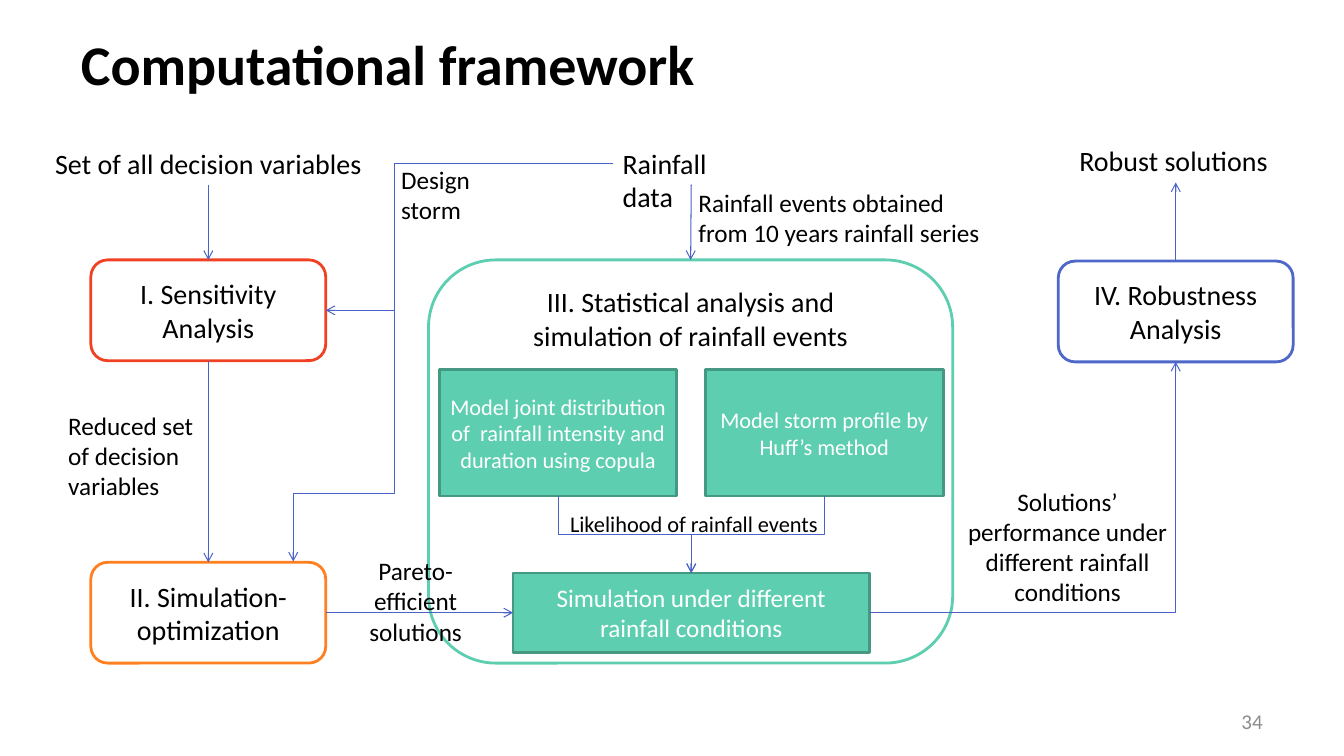
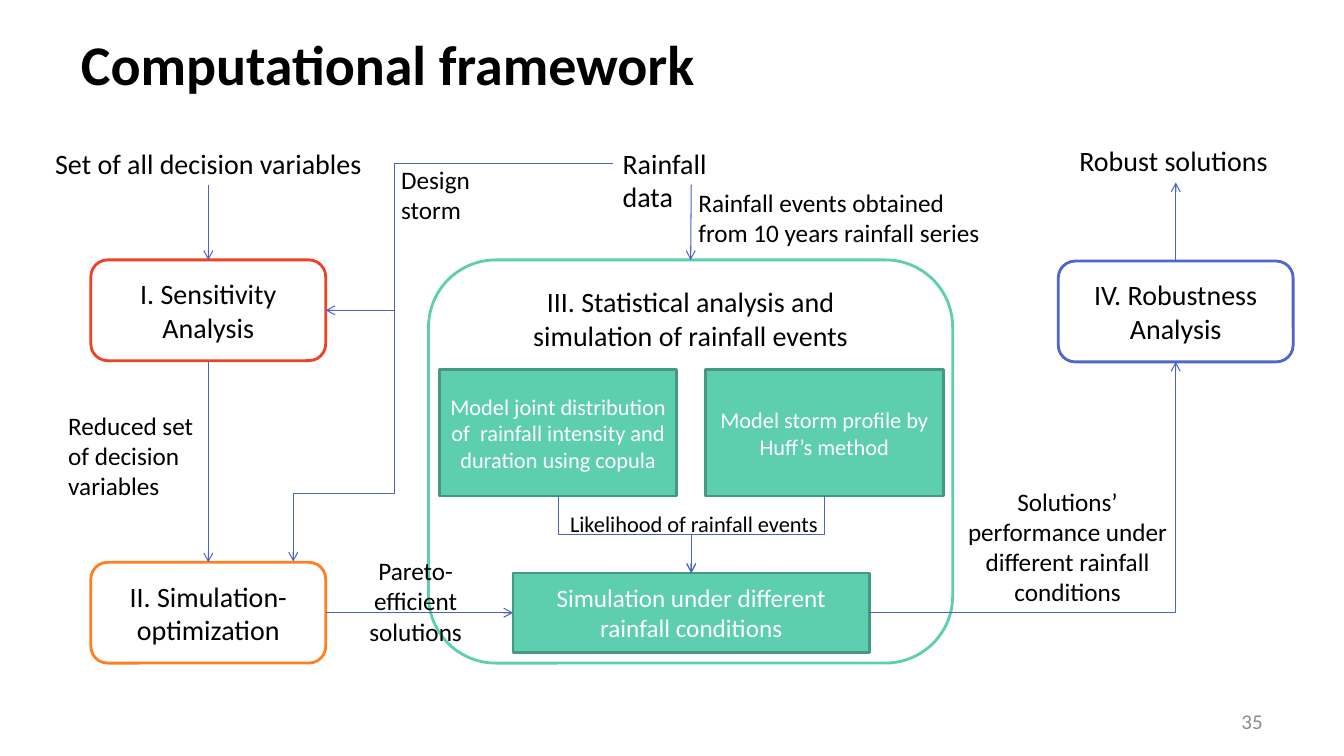
from dataclasses import dataclass
from typing import NamedTuple, Optional, Union

from lxml import etree
from pptx import Presentation
from pptx.dml.color import RGBColor
from pptx.enum.shapes import MSO_CONNECTOR, MSO_SHAPE
from pptx.enum.text import MSO_ANCHOR, MSO_AUTO_SIZE, PP_ALIGN
from pptx.oxml.ns import qn
from pptx.util import Cm, Pt

RECT, ROUNDED = MSO_SHAPE.RECTANGLE, MSO_SHAPE.ROUNDED_RECTANGLE
STRAIGHT, ELBOW = MSO_CONNECTOR.STRAIGHT, MSO_CONNECTOR.ELBOW
LEFT, CENTER, RIGHT = PP_ALIGN.LEFT, PP_ALIGN.CENTER, PP_ALIGN.RIGHT
TOP, MIDDLE = MSO_ANCHOR.TOP, MSO_ANCHOR.MIDDLE
FIT_SHAPE = MSO_AUTO_SIZE.SHAPE_TO_FIT_TEXT
TOP_SIDE, LEFT_SIDE, BOTTOM_SIDE, RIGHT_SIDE = range(4)
QUARTER_TURN = "5400000"


@dataclass(frozen=True)
class Theme:
    font: str = "Calibri"
    black: RGBColor = RGBColor(0x00, 0x00, 0x00)
    white: RGBColor = RGBColor(0xFF, 0xFF, 0xFF)
    gray: RGBColor = RGBColor(0x8C, 0x8C, 0x8C)
    red: RGBColor = RGBColor(0xF1, 0x41, 0x24)
    orange: RGBColor = RGBColor(0xFF, 0x80, 0x21)
    blue: RGBColor = RGBColor(0x4E, 0x67, 0xC8)
    flow: RGBColor = RGBColor(0x49, 0x63, 0xC7)
    green: RGBColor = RGBColor(0x5D, 0xCE, 0xAF)
    dark_green: RGBColor = RGBColor(0x45, 0x98, 0x81)
    title_size: int = 40
    stage_size: int = 20
    label_size: int = 18
    detail_size: int = 16
    number_size: int = 15
    outline: float = 2
    flow_width: float = 0.75


THEME = Theme()


class Point(NamedTuple):
    x: float
    y: float


@dataclass(frozen=True)
class Box:
    """A box of the framework; lengths in centimetres."""
    text: str
    left: float
    top: float
    width: float
    height: float
    line: RGBColor
    fill: RGBColor = THEME.white
    color: RGBColor = THEME.black
    size: int = THEME.stage_size
    preset: MSO_SHAPE = ROUNDED
    anchor: MSO_ANCHOR = MIDDLE

    def side(self, number: int) -> Point:
        """Middle of a side, numbered like the connection sites."""
        x, y = self.left + self.width / 2, self.top + self.height / 2
        return (Point(x, self.top), Point(self.left, y),
                Point(x, self.top + self.height), Point(self.left + self.width, y))[number]


class Label(NamedTuple):
    text: str
    left: float
    top: float
    width: float
    height: float
    size: int = THEME.label_size
    align: PP_ALIGN = LEFT
    wrap: bool = True


class Joint(NamedTuple):
    box: Box
    side: int


class Flow(NamedTuple):
    start: Union[Point, Joint]
    end: Union[Point, Joint]
    arrow: bool = True


class Elbow(NamedTuple):
    """A bent flow; without a turn fraction it has a single corner."""
    start: Point
    end: Point
    turn: Optional[float] = 0.5
    vertical: bool = False


def stage(text: str, left: float, top: float, line: RGBColor) -> Box:
    return Box(text, left, top, 5.92, 2.54, line)


def model(text: str, left: float, top: float, width: float, height: float, size: int) -> Box:
    return Box(text, left, top, width, height, THEME.dark_green, THEME.green,
               THEME.white, size, RECT)


SENSITIVITY = stage("I. Sensitivity Analysis", 2.29, 6.55, THEME.red)
OPTIMIZATION = stage("II. Simulation-optimization", 2.29, 14.17, THEME.orange)
ROBUSTNESS = stage("IV. Robustness Analysis", 26.67, 6.58, THEME.blue)
STATISTICS = Box("III. Statistical analysis and\nsimulation of rainfall events",
                 10.8, 6.55, 13.21, 10.16, THEME.green, anchor=TOP)
COPULA = model("Model joint distribution of  rainfall intensity and duration using copula",
               11.07, 9.32, 5.99, 3.18, THEME.detail_size)
STORM_PROFILE = model("Model storm profile by Huff’s method",
                      17.78, 9.32, 5.99, 3.18, THEME.detail_size)
SIMULATION = model("Simulation under different rainfall conditions",
                   12.93, 14.44, 8.98, 2, THEME.label_size)
BOXES = (SENSITIVITY, OPTIMIZATION, ROBUSTNESS, STATISTICS, COPULA, STORM_PROFILE, SIMULATION)

LABELS = (
    Label("Set of all decision variables", 1.14, 3.56, 8.23, 1.12, THEME.stage_size, wrap=False),
    Label("Rainfall data", 15.44, 3.56, 3.5, 1.12, THEME.stage_size),
    Label("Robust solutions", 26.95, 3.48, 5.36, 1.12, THEME.stage_size, wrap=False),
    Label("Reduced set of decision variables", 1.47, 10.21, 4.24, 2.57),
    Label("Rainfall events obtained from 10 years rainfall series", 17.35, 4.6, 7.82, 1.8),
    Label("Design storm", 9.86, 4.01, 3.71, 1.8),
    Label("Pareto-efficient solutions", 8.25, 13.87, 4.45, 1.8, align=CENTER),
    Label("Solutions’ performance under different rainfall conditions",
          23.77, 12.12, 6.27, 3.33, align=CENTER),
    Label("Likelihood of rainfall events", 13.54, 12.73, 7.9, 0.94, THEME.detail_size, CENTER),
)

RAINFALL_SOURCE = Point(15.44, 4.11)
STORM_BRANCH = Point(9.93, 4.11)
FLOWS = (
    Flow(Joint(SENSITIVITY, BOTTOM_SIDE), Joint(OPTIMIZATION, TOP_SIDE)),
    Flow(Point(5.25, 4.65), Joint(SENSITIVITY, TOP_SIDE)),
    Flow(Joint(ROBUSTNESS, TOP_SIDE), Point(29.63, 4.6)),
    Flow(Point(17.42, 4.65), Joint(STATISTICS, TOP_SIDE)),
    Flow(Joint(OPTIMIZATION, RIGHT_SIDE), Joint(SIMULATION, LEFT_SIDE)),
    Flow(RAINFALL_SOURCE, STORM_BRANCH, arrow=False),
)
ELBOWS = (
    Elbow(SIMULATION.side(RIGHT_SIDE), ROBUSTNESS.side(BOTTOM_SIDE), turn=None),
    Elbow(RAINFALL_SOURCE, SENSITIVITY.side(RIGHT_SIDE), turn=0.76),
    Elbow(STORM_BRANCH, Point(7.39, 14.15), turn=0.83, vertical=True),
    Elbow(COPULA.side(BOTTOM_SIDE), SIMULATION.side(TOP_SIDE), vertical=True),
    Elbow(STORM_PROFILE.side(BOTTOM_SIDE), SIMULATION.side(TOP_SIDE), vertical=True),
)


def write(frame, text: str, size: int, color: RGBColor, align: PP_ALIGN,
          anchor: MSO_ANCHOR = TOP, bold: bool = False, wrap: bool = True) -> None:
    frame.text = text
    frame.word_wrap = wrap
    frame.vertical_anchor = anchor
    for paragraph in frame.paragraphs:
        paragraph.alignment = align
        font = paragraph.font
        font.name, font.size, font.bold = THEME.font, Pt(size), bold
        font.color.rgb = color


def add_text_box(slide, left: float, top: float, width: float, height: float):
    return slide.shapes.add_textbox(Cm(left), Cm(top), Cm(width), Cm(height)).text_frame


def add_box(slide, box: Box):
    shape = slide.shapes.add_shape(box.preset, Cm(box.left), Cm(box.top),
                                   Cm(box.width), Cm(box.height))
    shape.shadow.inherit = False
    shape.fill.solid()
    shape.fill.fore_color.rgb = box.fill
    shape.line.color.rgb = box.line
    shape.line.width = Pt(THEME.outline)
    write(shape.text_frame, box.text, box.size, box.color, CENTER, box.anchor)
    return shape


def add_label(slide, label: Label) -> None:
    frame = add_text_box(slide, label.left, label.top, label.width, label.height)
    write(frame, label.text, label.size, THEME.black, label.align, wrap=label.wrap)
    frame.auto_size = FIT_SHAPE


def add_line(slide, kind: MSO_CONNECTOR, start: Point, end: Point, arrow: bool = True):
    line = slide.shapes.add_connector(kind, Cm(start.x), Cm(start.y), Cm(end.x), Cm(end.y))
    line.line.color.rgb = THEME.flow
    line.line.width = Pt(THEME.flow_width)
    properties = line.element.spPr
    if arrow:
        etree.SubElement(properties.find(qn("a:ln")), qn("a:tailEnd"), type="arrow")
    etree.SubElement(properties, qn("a:effectLst"))
    return line


def locate(place: Union[Point, Joint]) -> Point:
    return place.box.side(place.side) if isinstance(place, Joint) else place


def add_flow(slide, flow: Flow, shapes: dict) -> None:
    line = add_line(slide, STRAIGHT, locate(flow.start), locate(flow.end), flow.arrow)
    for place, connect in ((flow.start, line.begin_connect), (flow.end, line.end_connect)):
        if isinstance(place, Joint):
            connect(shapes[place.box], place.side)


def add_elbow(slide, elbow: Elbow) -> None:
    """Draw a bent flow; one that leaves downwards is a quarter-turned horizontal one."""
    start, end = elbow.start, elbow.end
    if elbow.vertical:
        x, y = (start.x + end.x) / 2, (start.y + end.y) / 2
        along, across = (end.y - start.y) / 2, (start.x - end.x) / 2
        start, end = Point(x - along, y - across), Point(x + along, y + across)
    properties = add_line(slide, ELBOW, start, end).element.spPr
    if elbow.vertical:
        properties.find(qn("a:xfrm")).set("rot", QUARTER_TURN)
    geometry = properties.find(qn("a:prstGeom"))
    if elbow.turn is None:
        geometry.set("prst", "bentConnector2")
    else:
        etree.SubElement(geometry.find(qn("a:avLst")), qn("a:gd"), name="adj1",
                         fmla=f"val {round(elbow.turn * 100000)}")


def add_frame(slide, title: str, number: int) -> None:
    """Add the title and the slide number."""
    heading = add_text_box(slide, 1.7, 0, 30.48, 3.18)
    footer = add_text_box(slide, 24.26, 17.65, 7.9, 1.02)
    for frame in (heading, footer):
        frame.margin_left = frame.margin_right = Cm(0.34)
        frame.margin_top = frame.margin_bottom = Cm(0.17)
    write(heading, title, THEME.title_size, THEME.black, LEFT, MIDDLE, bold=True)
    write(footer, str(number), THEME.number_size, THEME.gray, RIGHT, MIDDLE)


def add_framework(slide) -> None:
    shapes = {box: add_box(slide, box) for box in BOXES}
    for flow in FLOWS:
        add_flow(slide, flow, shapes)
    for elbow in ELBOWS:
        add_elbow(slide, elbow)
    for label in LABELS:
        add_label(slide, label)


def main() -> None:
    deck = Presentation()
    deck.slide_width, deck.slide_height = Cm(33.87), Cm(19.05)
    blank = deck.slide_layouts[6]
    for number in (34, 35):
        slide = deck.slides.add_slide(blank)
        add_frame(slide, "Computational framework", number)
        add_framework(slide)
    deck.save("out.pptx")


if __name__ == "__main__":
    main()
